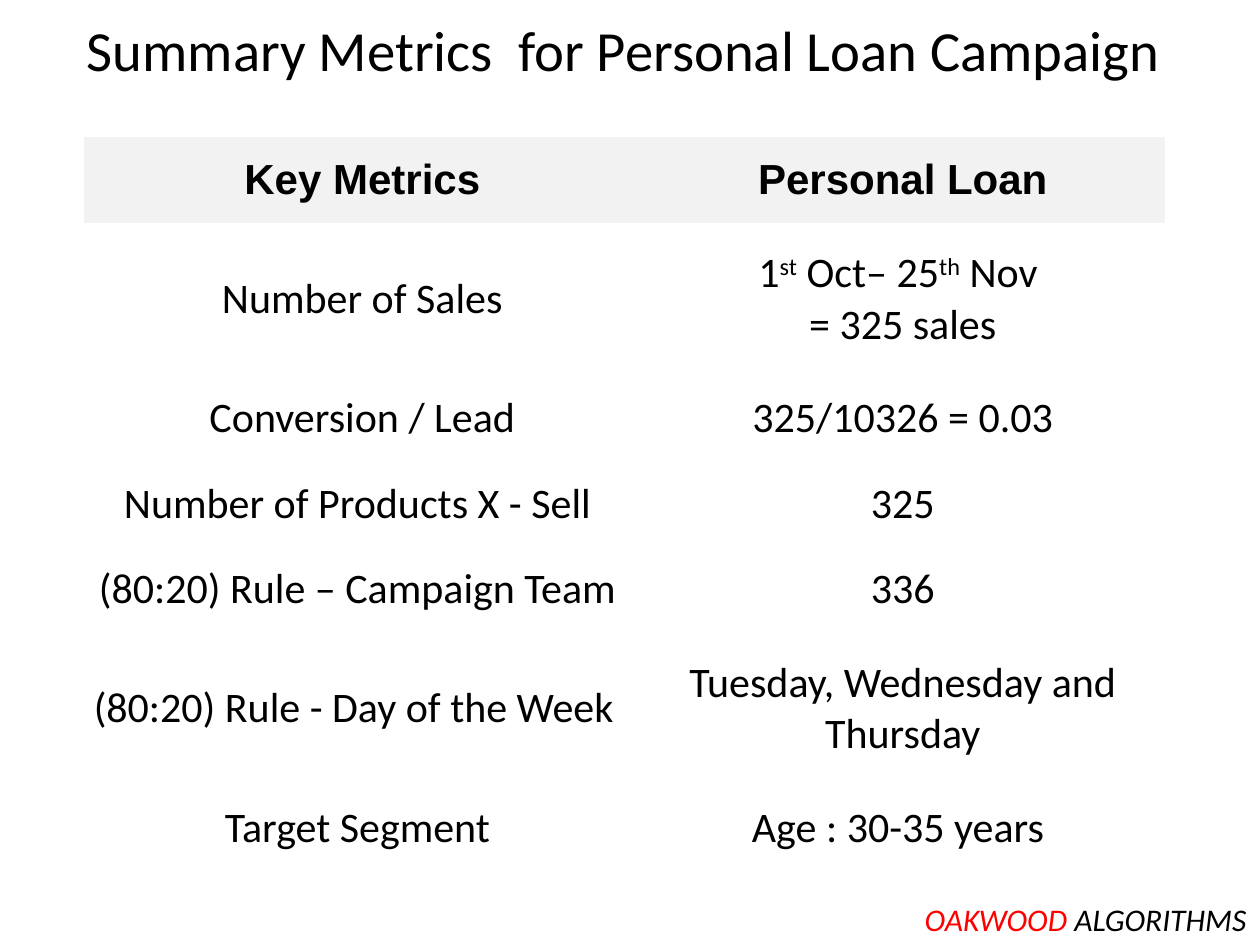
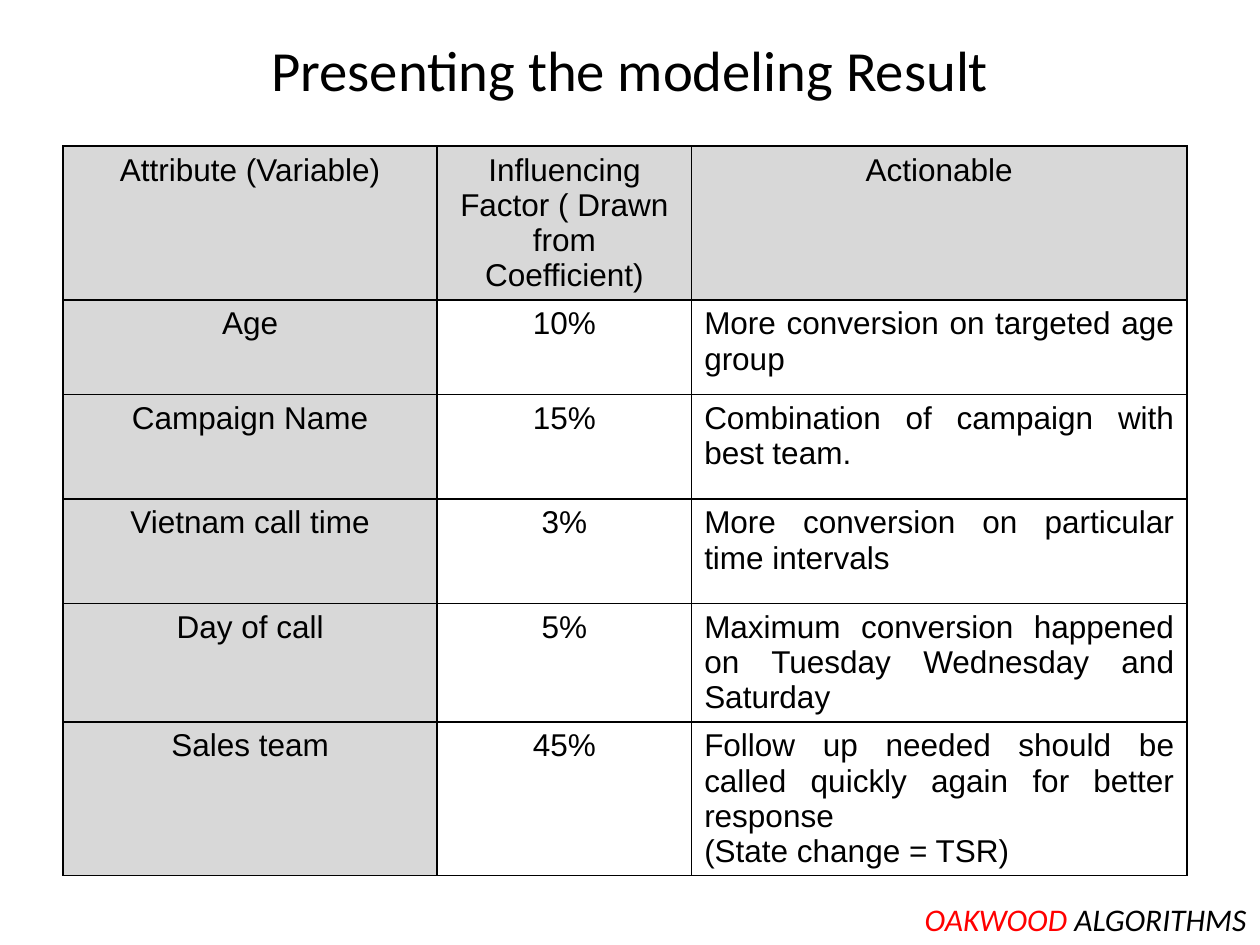
import dataclasses

import pptx
import pptx.dml.color
import pptx.enum.text
import pptx.oxml
import pptx.oxml.ns
import pptx.util

Inches = pptx.util.Inches
Align = pptx.enum.text.PP_ALIGN
Anchor = pptx.enum.text.MSO_ANCHOR

BLACK, RED, PALE, GRAY = "000000", "FF0000", "F2F2F2", "D8D8D8"
PLAIN_STYLE = "{2D5ABB26-0587-4C30-8999-92F81FD0307C}"
TITLE = {"name": "Calibri", "size": pptx.util.Pt(32.4), "bold": False}
BRAND = {"name": "Calibri", "size": pptx.util.Pt(18), "italic": True}
HEAD = {"name": "Arial", "size": pptx.util.Pt(24), "bold": True}
BODY = {"name": "Calibri", "size": pptx.util.Pt(24), "bold": False}
MODEL = {"name": "Arial", "size": pptx.util.Pt(18), "bold": False}


@dataclasses.dataclass
class Box:
    left: float
    top: float
    width: float
    height: float

    def lengths(self) -> list:
        return [Inches(v) for v in dataclasses.astuple(self)]


@dataclasses.dataclass
class Grid:
    left: float
    top: float
    widths: list
    heights: list
    rows: list
    head: dict
    body: dict
    fill: str
    pads: tuple
    anchor: object
    last: object = Align.CENTER
    shade_first: bool = False
    lines: bool = False
    insets: dict = dataclasses.field(default_factory=dict)


METRICS = Grid(
    0.67, 1.09, [4.41, 4.17], [0.68, 1.21, 0.68, 0.68, 0.68, 1.21, 0.68],
    [
        ("Key Metrics", "Personal Loan"),
        ("Number of Sales", "1^st^ Oct– 25^th^ Nov \n= 325 sales"),
        ("Conversion / Lead", "325/10326 = 0.03"),
        ("Number of Products X - Sell ", "325"),
        ("(80:20) Rule – Campaign Team ", "336"),
        ("(80:20) Rule - Day of the Week ", "Tuesday, Wednesday and Thursday"),
        ("Target Segment ", "Age : 30-35 years "),
    ],
    HEAD, BODY, PALE, (0.06, 0.06), Anchor.MIDDLE, insets={(5, 0): 0.12})

RESULTS = Grid(
    0.5, 1.16, [2.97, 2.02, 3.93], [1.08, 0.75, 0.83, 0.83, 0.92, 1],
    [
        ("Attribute (Variable)", "Influencing Factor ( Drawn from Coefficient)",
         "Actionable"),
        ("Age", "10%", "More conversion on targeted age group"),
        ("Campaign Name", "15%", "Combination of campaign with best team."),
        ("Vietnam call time", "3%",
         "More conversion on particular time intervals"),
        ("Day of call", "5%",
         "Maximum conversion happened on Tuesday Wednesday and Saturday"),
        ("Sales team", "45%",
         "Follow up needed should be called quickly again for better response"
         "\n(State change = TSR)"),
    ],
    MODEL, MODEL, GRAY, (0.1, 0.05), Anchor.TOP, Align.JUSTIFY, True, True)


def paint(target, tone: str) -> None:
    target.rgb = pptx.dml.color.RGBColor.from_string(tone)


def put(target, values: dict) -> None:
    for key, value in values.items():
        setattr(target, key, value)


def add_run(para, text: str, form: dict, tone: str = BLACK,
            raised: bool = False) -> None:
    run = para.add_run()
    run.text = text
    put(run.font, form)
    paint(run.font.color, tone)
    if raised:
        run._r.get_or_add_rPr().set("baseline", "30000")


def write(frame, text: str, form: dict, align) -> None:
    for i, line in enumerate(text.split("\n")):
        para = frame.add_paragraph() if i else frame.paragraphs[0]
        para.alignment = align
        for j, part in enumerate(line.split("^")):
            add_run(para, part, form, raised=j % 2 == 1)


def add_lines(cell) -> None:
    props = cell._tc.get_or_add_tcPr()
    for side in "LRTB":
        props.append(pptx.oxml.parse_xml(
            f'<a:ln{side} {pptx.oxml.ns.nsdecls("a")} w="12700"><a:solidFill>'
            f'<a:srgbClr val="{BLACK}"/></a:solidFill></a:ln{side}>'))


def add_grid(slide, grid: Grid) -> None:
    area = Box(grid.left, grid.top, sum(grid.widths), sum(grid.heights))
    table = slide.shapes.add_table(
        len(grid.heights), len(grid.widths), *area.lengths()).table
    put(table, {"first_row": False, "horz_banding": False})
    style = table._tbl.tblPr.find(pptx.oxml.ns.qn("a:tableStyleId"))
    style.text = PLAIN_STYLE
    for col, width in zip(table.columns, grid.widths):
        col.width = Inches(width)
    for row, height in zip(table.rows, grid.heights):
        row.height = Inches(height)
    side, edge = grid.pads
    form = {"margin_left": Inches(side), "margin_top": Inches(edge),
            "margin_bottom": Inches(edge), "vertical_anchor": grid.anchor}
    for r, texts in enumerate(grid.rows):
        for c, text in enumerate(texts):
            cell = table.cell(r, c)
            put(cell, form)
            cell.margin_right = Inches(grid.insets.get((r, c), side))
            if grid.lines:
                add_lines(cell)
            if r == 0 or (grid.shade_first and c == 0):
                cell.fill.solid()
                paint(cell.fill.fore_color, grid.fill)
            else:
                cell.fill.background()
            is_last = r > 0 and c == len(texts) - 1
            write(cell.text_frame, text, grid.body if r else grid.head,
                  grid.last if is_last else Align.CENTER)


def add_brand(slide) -> None:
    box = slide.shapes.add_textbox(*Box(7.24, 7.09, 2.76, 0.4).lengths())
    box.text_frame.word_wrap = True
    para = box.text_frame.paragraphs[0]
    add_run(para, "OAKWOOD", BRAND, RED)
    add_run(para, " ALGORITHMS", BRAND)


def add_slide(deck, title: str, area: Box, grid: Grid) -> None:
    slide = deck.slides.add_slide(deck.slide_layouts[5])
    shape = slide.shapes.title
    put(shape, dict(zip(("left", "top", "width", "height"), area.lengths())))
    put(shape.text_frame, {"vertical_anchor": Anchor.MIDDLE, "word_wrap": True,
                           "auto_size": pptx.enum.text.MSO_AUTO_SIZE.NONE})
    write(shape.text_frame, title, TITLE, Align.CENTER)
    add_grid(slide, grid)
    add_brand(slide)


def main() -> None:
    deck = pptx.Presentation()
    put(deck, {"slide_width": Inches(10), "slide_height": Inches(7.5)})
    add_slide(deck, "Summary Metrics  for Personal Loan Campaign ",
              Box(0, 0.01, 10, 0.75), METRICS)
    add_slide(deck, "Presenting the modeling Result",
              Box(0.5, 0.24, 9, 0.62), RESULTS)
    deck.save("out.pptx")


if __name__ == "__main__":
    main()
